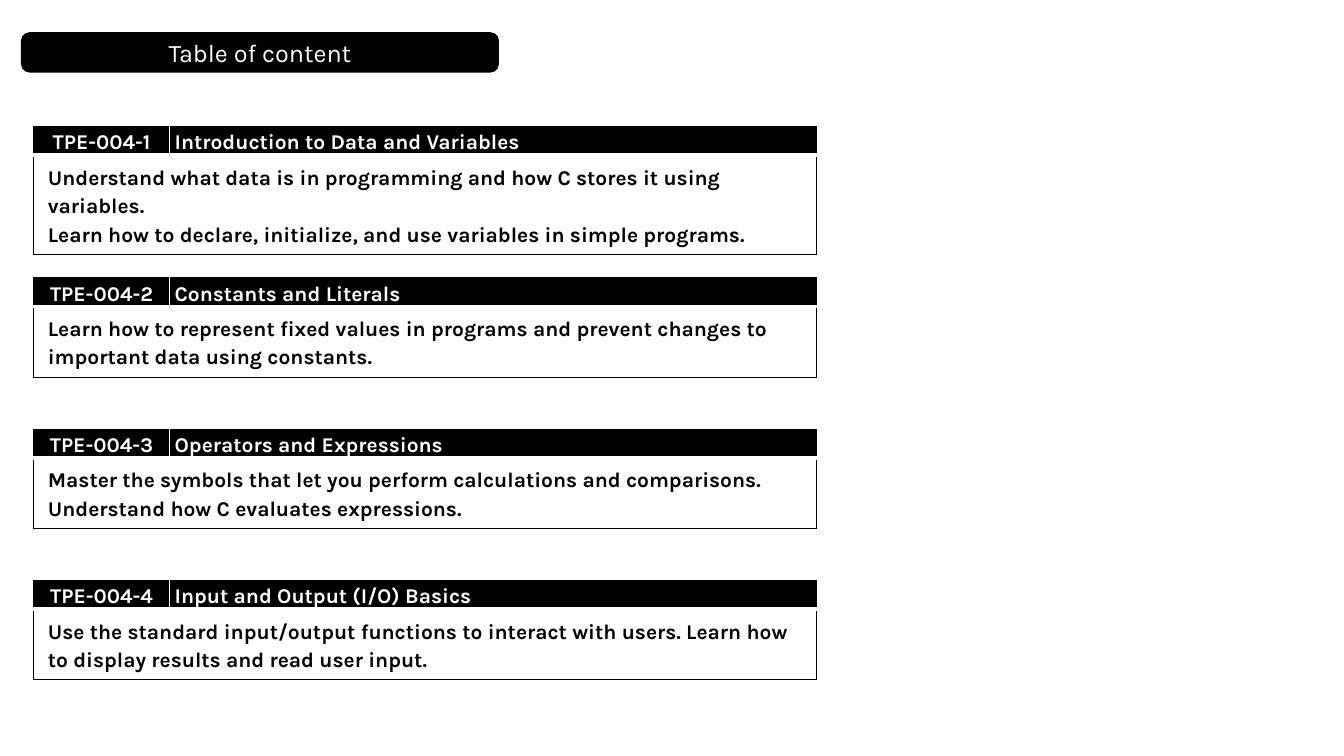
"""Build the table-of-content slide with one header-and-summary table per lesson."""
import dataclasses
import typing

import lxml.etree
import pptx
import pptx.dml.color
import pptx.enum.shapes
import pptx.enum.text
import pptx.oxml.ns
import pptx.util

ALIGN = pptx.enum.text.PP_ALIGN
MIDDLE = pptx.enum.text.MSO_ANCHOR.MIDDLE


@dataclasses.dataclass(frozen=True)
class Theme:
    dark: str = "000000"
    light: str = "FFFFFF"
    font: str = "Karla"
    title_size: float = 18
    body_size: float = 15
    thin: float = 1
    thick: float = 3


@dataclasses.dataclass(frozen=True)
class Lesson:
    code: str
    title: str
    summary: str


class Edge(typing.NamedTuple):
    color: str
    width: float


class Insets(typing.NamedTuple):
    across: float
    down: float


THEME = Theme()
DARK_EDGE = Edge(THEME.dark, THEME.thin)
LIGHT_EDGE = Edge(THEME.light, THEME.thin)
GAP_EDGE = Edge(THEME.light, THEME.thick)

SLIDE_WIDTH = pptx.util.Inches(13.33)
SLIDE_HEIGHT = pptx.util.Inches(7.5)
GRID_COLUMNS = 160
GRID_ROWS = 90

TABLE_LEFT = 4
TABLE_TOP = 15.1
TABLE_PITCH = 18
TABLE_HEIGHT = 11.76
COLUMN_WIDTHS = (16.2, 77.04)
ROW_HEIGHTS = (3.36, 6.84)

LESSONS = (
    Lesson(
        "TPE-004-1",
        "Introduction to Data and Variables",
        "Understand what data is in programming and how C stores it using variables.\n"
        "Learn how to declare, initialize, and use variables in simple programs.",
    ),
    Lesson(
        "TPE-004-2",
        "Constants and Literals",
        "Learn how to represent fixed values in programs and prevent changes to "
        "important data using constants.",
    ),
    Lesson(
        "TPE-004-3",
        "Operators and Expressions",
        "Master the symbols that let you perform calculations and comparisons. "
        "Understand how C evaluates expressions.",
    ),
    Lesson(
        "TPE-004-4",
        "Input and Output (I/O) Basics",
        "Use the standard input/output functions to interact with users. "
        "Learn how to display results and read user input.",
    ),
)


def columns(count: float) -> int:
    return round(SLIDE_WIDTH * count / GRID_COLUMNS)


def rows(count: float) -> int:
    return round(SLIDE_HEIGHT * count / GRID_ROWS)


def rgb(color: str) -> pptx.dml.color.RGBColor:
    return pptx.dml.color.RGBColor.from_string(color)


def write(frame, text: str, *, size: float, color: str, bold: bool = False,
          align=ALIGN.LEFT, line_spacing: float = 1, space_after: float = 0) -> None:
    para = frame.paragraphs[0]
    para.alignment = align
    para.line_spacing = line_spacing
    para.space_after = pptx.util.Pt(space_after)
    for index, line in enumerate(text.split("\n")):
        if index:
            para.add_line_break()
        span = para.add_run()
        span.text = line
        span.font.name = THEME.font
        span.font.size = pptx.util.Pt(size)
        span.font.bold = bold
        span.font.color.rgb = rgb(color)


def set_edges(cell, left: Edge, right: Edge, top: Edge, bottom: Edge) -> None:
    properties = cell._tc.get_or_add_tcPr()
    qualified = pptx.oxml.ns.qn
    for side, edge in zip("LRTB", (left, right, top, bottom)):
        line = lxml.etree.SubElement(properties, qualified(f"a:ln{side}"),
                                     w=str(pptx.util.Pt(edge.width)))
        fill = lxml.etree.SubElement(line, qualified("a:solidFill"))
        lxml.etree.SubElement(fill, qualified("a:srgbClr"), val=edge.color)


def fill_cell(cell, text: str, insets: Insets, *, back: str, color: str,
              align=ALIGN.LEFT) -> None:
    cell.fill.solid()
    cell.fill.fore_color.rgb = rgb(back)
    cell.vertical_anchor = MIDDLE
    cell.margin_left = cell.margin_right = columns(insets.across)
    cell.margin_top = cell.margin_bottom = rows(insets.down)
    write(cell.text_frame, text, size=THEME.body_size, color=color, bold=True,
          align=align, line_spacing=1.15, space_after=8)


def add_title(page, text: str) -> None:
    box = page.shapes.add_shape(pptx.enum.shapes.MSO_SHAPE.ROUNDED_RECTANGLE,
                                columns(2.5), rows(3.84), columns(56.9), rows(4.8))
    box.adjustments[0] = 0.21
    box.shadow.inherit = False
    box.fill.solid()
    box.fill.fore_color.rgb = rgb(THEME.dark)
    box.line.fill.background()
    box.text_frame.vertical_anchor = MIDDLE
    write(box.text_frame, text, size=THEME.title_size, color=THEME.light,
          align=ALIGN.CENTER)


def add_lesson(page, lesson: Lesson, top: float) -> None:
    frame = page.shapes.add_table(2, 2, columns(TABLE_LEFT), rows(top),
                                  columns(sum(COLUMN_WIDTHS)), rows(TABLE_HEIGHT))
    table = frame.table
    table.first_row = table.horz_banding = False
    for column, width in zip(table.columns, COLUMN_WIDTHS):
        column.width = columns(width)
    for row, height in zip(table.rows, ROW_HEIGHTS):
        row.height = rows(height)
    frame.height = rows(TABLE_HEIGHT)

    code, title, summary, covered = table.iter_cells()
    summary.merge(covered)
    set_edges(code, DARK_EDGE, LIGHT_EDGE, DARK_EDGE, GAP_EDGE)
    set_edges(title, LIGHT_EDGE, DARK_EDGE, DARK_EDGE, GAP_EDGE)
    for cell in (summary, covered):
        set_edges(cell, DARK_EDGE, DARK_EDGE, LIGHT_EDGE, DARK_EDGE)
    fill_cell(code, lesson.code, Insets(1.2, 0), back=THEME.dark,
              color=THEME.light, align=ALIGN.CENTER)
    fill_cell(title, lesson.title, Insets(0.6, 0), back=THEME.dark, color=THEME.light)
    fill_cell(summary, lesson.summary, Insets(1.7, 0.85), back=THEME.light,
              color=THEME.dark)


def main() -> None:
    deck = pptx.Presentation()
    deck.slide_width = SLIDE_WIDTH
    deck.slide_height = SLIDE_HEIGHT
    page = deck.slides.add_slide(deck.slide_layouts[6])
    add_title(page, "Table of content")
    for index, lesson in enumerate(LESSONS):
        add_lesson(page, lesson, TABLE_TOP + index * TABLE_PITCH)
    deck.save("out.pptx")


if __name__ == "__main__":
    main()
